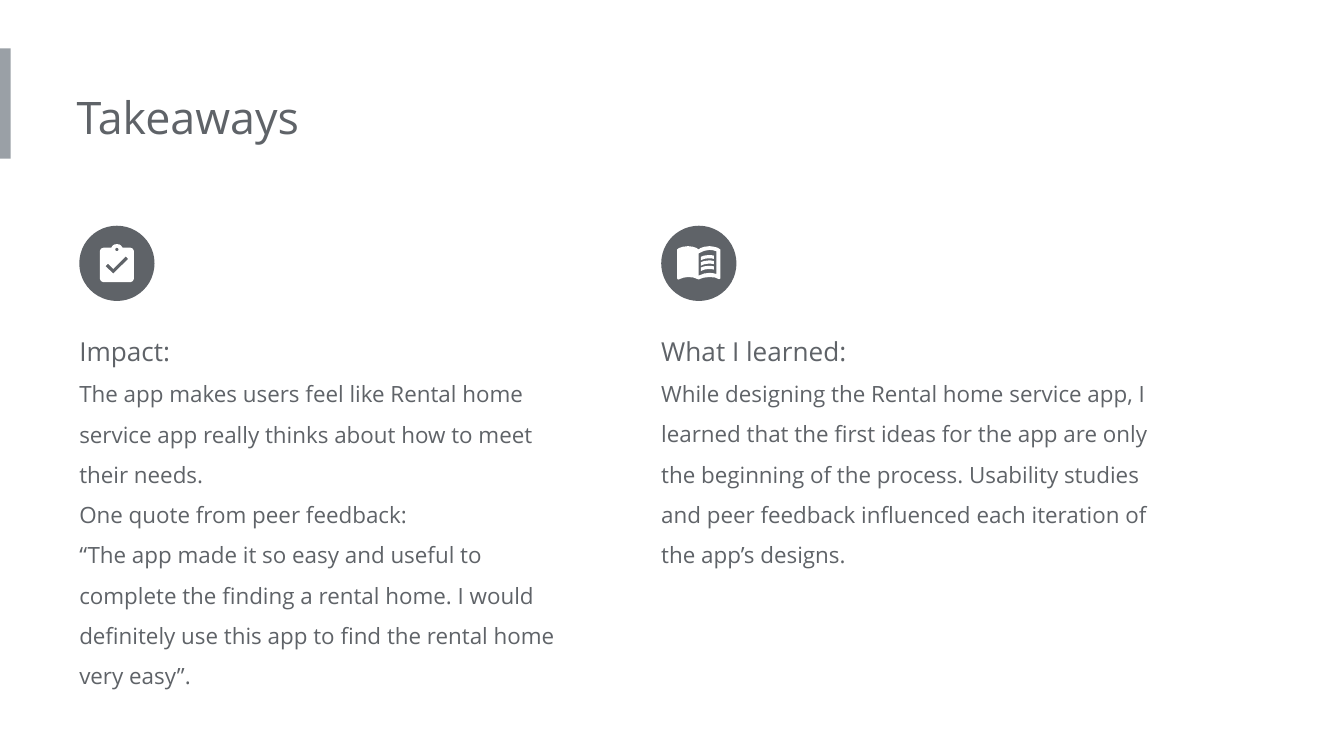
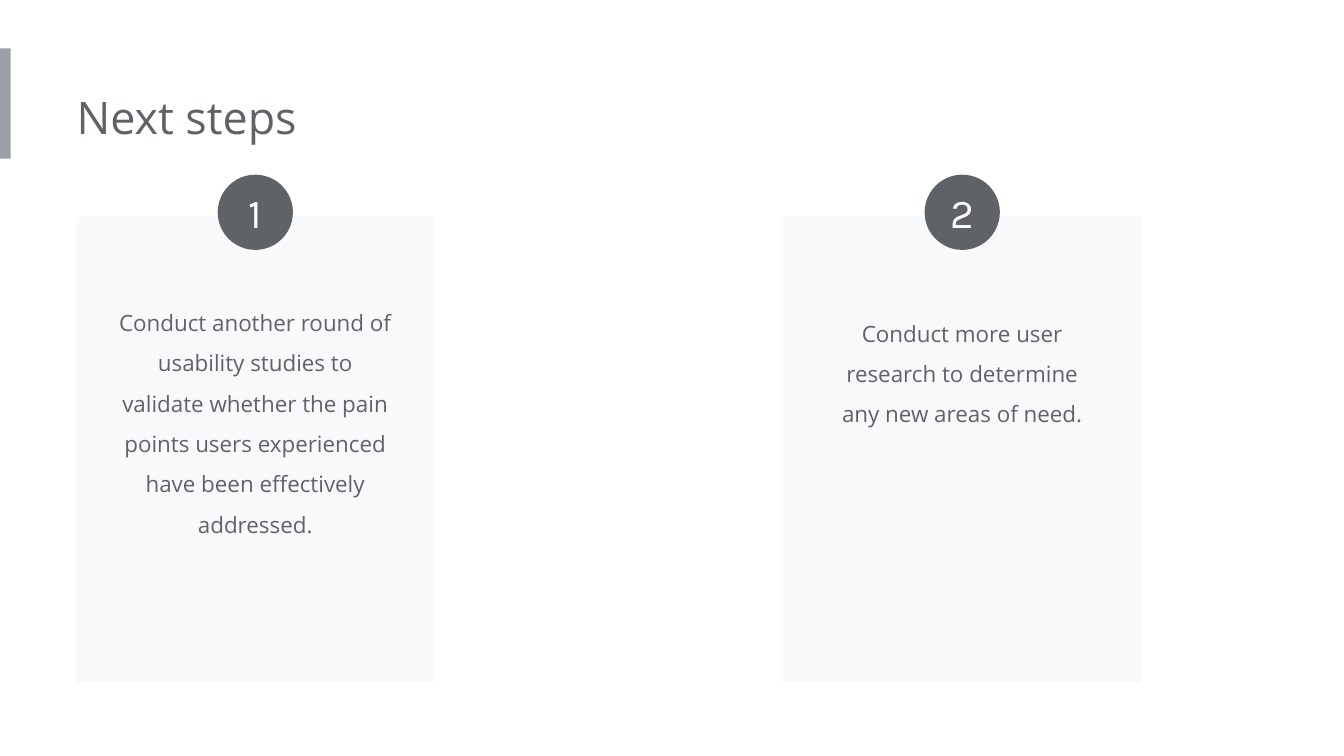
from pptx import Presentation
from pptx.dml.color import RGBColor
from pptx.enum.shapes import MSO_SHAPE
from pptx.enum.text import MSO_ANCHOR, MSO_AUTO_SIZE, PP_ALIGN
from pptx.util import Inches, Pt

RECTANGLE, OVAL = MSO_SHAPE.RECTANGLE, MSO_SHAPE.OVAL
TOP, MIDDLE = MSO_ANCHOR.TOP, MSO_ANCHOR.MIDDLE
GROW = MSO_AUTO_SIZE.SHAPE_TO_FIT_TEXT
LEFT, CENTER = PP_ALIGN.LEFT, PP_ALIGN.CENTER

DARK = RGBColor(0x5F, 0x63, 0x68)
BAND = RGBColor(0x9A, 0xA0, 0xA6)
CARD = RGBColor(0xF8, 0xF9, 0xFA)
WHITE = RGBColor(0xFF, 0xFF, 0xFF)
BODY_FONT, NUMBER_FONT = "Open Sans", "Karla"

BADGE = 0.56
THOUSANDTH = Inches(1) / 1000


def paint(shape, color):
    shape.shadow.inherit = False
    shape.fill.solid()
    shape.fill.fore_color.rgb = color
    shape.line.fill.background()


def write(frame, lines, align=LEFT, spacing=1.5, inset=0.1, left_inset=0,
          anchor=TOP, font=BODY_FONT, color=DARK):
    frame.word_wrap = True
    frame.vertical_anchor = anchor
    frame.margin_left = Inches(left_inset)
    frame.margin_top = frame.margin_right = frame.margin_bottom = Inches(inset)
    for index, (text, size) in enumerate(lines):
        para = frame.add_paragraph() if index else frame.paragraphs[0]
        para.alignment = align
        para.line_spacing = spacing
        span = para.add_run()
        span.text = text
        span.font.name = font
        span.font.size = Pt(size)
        span.font.color.rgb = color


deck = Presentation()
deck.slide_width = Inches(10)
deck.slide_height = deck.slide_width * 9 // 16
layout = deck.slide_layouts[5]

pages = []
for heading in ("Takeaways", "Next steps"):
    page = deck.slides.add_slide(layout)
    title = page.shapes.title
    title.left, title.top = Inches(0.57), Inches(0.57)
    title.width, title.height = Inches(5.39), Inches(0.61)
    write(title.text_frame, [(heading, 24)], spacing=1.0)
    title.text_frame.auto_size = GROW
    pages.append(page)
takeaways, next_steps = pages

band = takeaways.shapes.add_shape(
    RECTANGLE, 0, Inches(0.36), Inches(0.08), Inches(0.82))
paint(band, BAND)
layout.shapes.element.append(band.element)

columns = [
    (0.59, 2.98, [
        ("Impact:", 14),
        ("The app makes users feel like Rental home service app really thinks "
         "about how to meet their needs.", 12),
        ("One quote from peer feedback:", 12),
        ("“The app made it so easy and useful to complete the finding a rental "
         "home. I would definitely use this app to find the rental home very "
         "easy”.", 12),
    ]),
    (4.92, 2.07, [
        ("What I learned:", 14),
        ("While designing the Rental home service app, I learned that the first "
         "ideas for the app are only the beginning of the process. Usability "
         "studies and peer feedback influenced each iteration of the app’s "
         "designs.", 12),
    ]),
]
for left, height, lines in columns:
    box = takeaways.shapes.add_textbox(
        Inches(left), Inches(2.28), Inches(3.77), Inches(height))
    write(box.text_frame, lines)
    box.text_frame.auto_size = GROW
    badge = takeaways.shapes.add_shape(
        OVAL, Inches(left), Inches(1.68), Inches(BADGE), Inches(BADGE))
    paint(badge, DARK)

clipboard = [
    [(970, 1843), (912, 1843), (902, 1828), (888, 1819), (870, 1816),
     (852, 1819), (838, 1828), (828, 1843), (770, 1843), (752, 1850),
     (743, 1868), (743, 2074), (752, 2092), (770, 2100), (970, 2100),
     (988, 2092), (997, 2074), (997, 1868), (988, 1850)],
    [(870, 1843), (879, 1847), (883, 1856), (879, 1865), (870, 1869),
     (861, 1865), (857, 1856), (861, 1847)],
    [(843, 2036), (785, 1980), (804, 1962), (843, 2000), (936, 1908),
     (954, 1927)],
]
book = [
    [(5120, 1832), (5080, 1837), (5053, 1846), (5038, 1857), (5038, 2073),
     (5045, 2081), (5055, 2078), (5085, 2067), (5120, 2062), (5160, 2066),
     (5198, 2080), (5235, 2067), (5280, 2062), (5320, 2066), (5350, 2078),
     (5360, 2073), (5360, 1857), (5340, 1844), (5310, 1836), (5280, 1832),
     (5240, 1837), (5213, 1846), (5198, 1857), (5183, 1846), (5157, 1837)],
    [(5280, 1860), (5305, 1863), (5330, 1870), (5330, 2040), (5305, 2033),
     (5280, 2031), (5240, 2036), (5198, 2052), (5198, 1886), (5240, 1867)],
]
text_row = [(5270, 1898), (5238, 1902), (5214, 1911), (5214, 1937),
            (5240, 1926), (5270, 1922), (5290, 1922), (5312, 1926),
            (5312, 1902), (5290, 1898)]
text_rows = [[[(x, y + 40 * row) for x, y in text_row]] for row in range(3)]

book_group = takeaways.shapes.add_group_shape()
icons = [(takeaways.shapes, clipboard)]
icons += [(book_group.shapes, contours) for contours in [book, *text_rows]]
for shapes, contours in icons:
    first, *holes = contours
    builder = shapes.build_freeform(*first[0], scale=THOUSANDTH)
    builder.add_line_segments(first[1:], close=True)
    for hole in holes:
        builder.move_to(*hole[0])
        builder.add_line_segments(hole[1:], close=True)
    paint(builder.convert_to_shape(), WHITE)

card_width, text_width = 2.66, 2.24
steps = [
    (0.57, 2.1, 2.02, "Conduct another round of usability studies to validate "
     "whether the pain points users experienced have been effectively "
     "addressed."),
    (5.83, 2.18, 1.11, "Conduct more user research to determine any new areas "
     "of need."),
]
for number, (left, text_top, text_height, text) in enumerate(steps, 1):
    card = next_steps.shapes.add_shape(
        RECTANGLE, Inches(left), Inches(1.61), Inches(card_width), Inches(3.47))
    paint(card, CARD)
    box = next_steps.shapes.add_textbox(
        Inches(left + (card_width - text_width) / 2), Inches(text_top),
        Inches(text_width), Inches(text_height))
    write(box.text_frame, [(text, 12)], align=CENTER, left_inset=0.1)
    box.text_frame.auto_size = GROW
    badge = next_steps.shapes.add_shape(
        OVAL, Inches(left + (card_width - BADGE) / 2), Inches(1.3),
        Inches(BADGE), Inches(BADGE))
    paint(badge, DARK)
    write(badge.text_frame, [(str(number), 22)], align=CENTER, spacing=1.0,
          inset=0, anchor=MIDDLE, font=NUMBER_FONT, color=WHITE)

deck.save("out.pptx")
